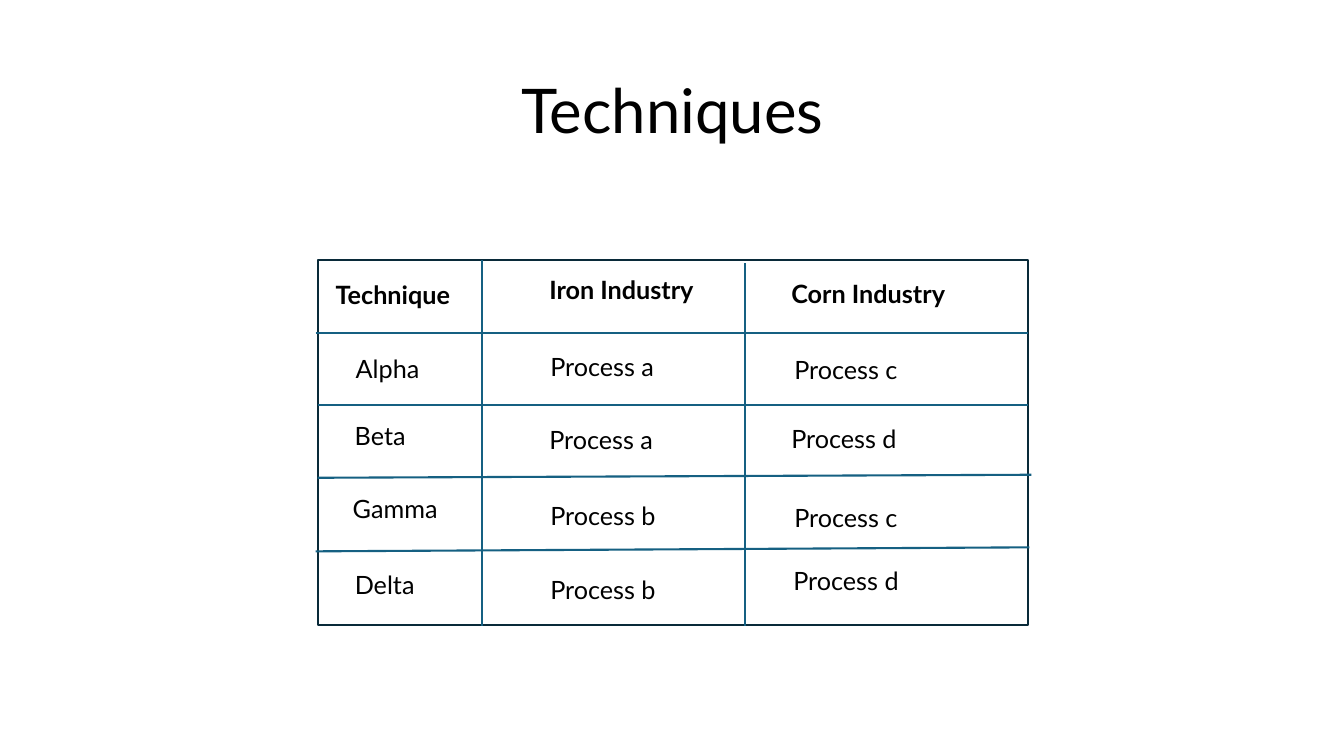
import pptx
import pptx.util
from lxml import etree
from pptx.dml.color import RGBColor
from pptx.enum.shapes import MSO_CONNECTOR, MSO_SHAPE
from pptx.enum.text import MSO_ANCHOR, MSO_AUTO_SIZE, PP_ALIGN
from pptx.oxml.ns import qn

PX = 9144  # EMU per px, 100 px to the inch
SLIDE = (1333, 750)
FONT = "Lato"
COLORS = {"text": "000000", "frame": "092A39", "rule": "156082"}
RULE_PT = 1.5
CELL_PT = 18
CELL_HEIGHT = 40

TITLE = ("Techniques", (92, 40, 1150, 145))
FRAME = (315, 258, 705, 362)

# Each cell: wording, left, top, width; the first row is the header
ROWS = [
    [("Technique", 323, 272, 138), ("Iron Industry", 535, 267, 166), ("Corn Industry", 775, 271, 177)],
    [("Alpha", 343, 346, 85), ("Process a", 536, 344, 126), ("Process c", 778, 347, 126)],
    [("Beta", 342, 412, 74), ("Process a", 535, 416, 126), ("Process d", 775, 415, 127)],
    [("Gamma", 340, 484, 108), ("Process b", 536, 491, 127), ("Process c", 778, 493, 126)],
    [("Delta", 342, 560, 82), ("Process b", 536, 565, 127), ("Process d", 777, 556, 127)],
]

# Each rule: start x, start y, end x, end y
RULES = [
    (313, 330, 1020, 330),
    (315, 402, 1020, 402),
    (315, 474, 1023, 471),
    (313, 547, 1021, 543),
    (478, 258, 478, 621),
    (739, 261, 739, 621),
]


def emu(lengths):
    return [pptx.util.Emu(length * PX) for length in lengths]


def color(name):
    return RGBColor.from_string(COLORS[name])


def style_line(line, name):
    line.color.rgb = color(name)
    line.width = pptx.util.Pt(RULE_PT)


def add_text(slide, wording, box, size, bold=False):
    frame = slide.shapes.add_textbox(*emu(box)).text_frame
    frame.text = wording
    font = frame.paragraphs[0].runs[0].font
    font.name = FONT
    font.size = pptx.util.Pt(size)
    font.bold = bold
    font.color.rgb = color("text")
    return frame


def add_title(slide):
    wording, box = TITLE
    frame = add_text(slide, wording, box, 44)
    frame.word_wrap = True
    frame.vertical_anchor = MSO_ANCHOR.MIDDLE
    frame.paragraphs[0].alignment = PP_ALIGN.CENTER
    frame.paragraphs[0].line_spacing = 0.9


def add_grid(slide):
    outline = slide.shapes.add_shape(MSO_SHAPE.RECTANGLE, *emu(FRAME))
    outline.shadow.inherit = False
    outline.fill.background()
    style_line(outline.line, "frame")
    for ends in RULES:
        rule = slide.shapes.add_connector(MSO_CONNECTOR.STRAIGHT, *emu(ends))
        style_line(rule.line, "rule")
        etree.SubElement(rule._element.spPr, qn("a:effectLst"))


def add_cells(slide):
    for row_number, row in enumerate(ROWS):
        for wording, left, top, width in row:
            box = (left, top, width, CELL_HEIGHT)
            frame = add_text(slide, wording, box, CELL_PT, bold=row_number == 0)
            frame.word_wrap = False
            frame.auto_size = MSO_AUTO_SIZE.SHAPE_TO_FIT_TEXT


def main():
    deck = pptx.Presentation()
    deck.slide_width, deck.slide_height = emu(SLIDE)
    slide = deck.slides.add_slide(deck.slide_layouts[6])
    add_title(slide)
    add_grid(slide)
    add_cells(slide)
    deck.save("out.pptx")


if __name__ == "__main__":
    main()
